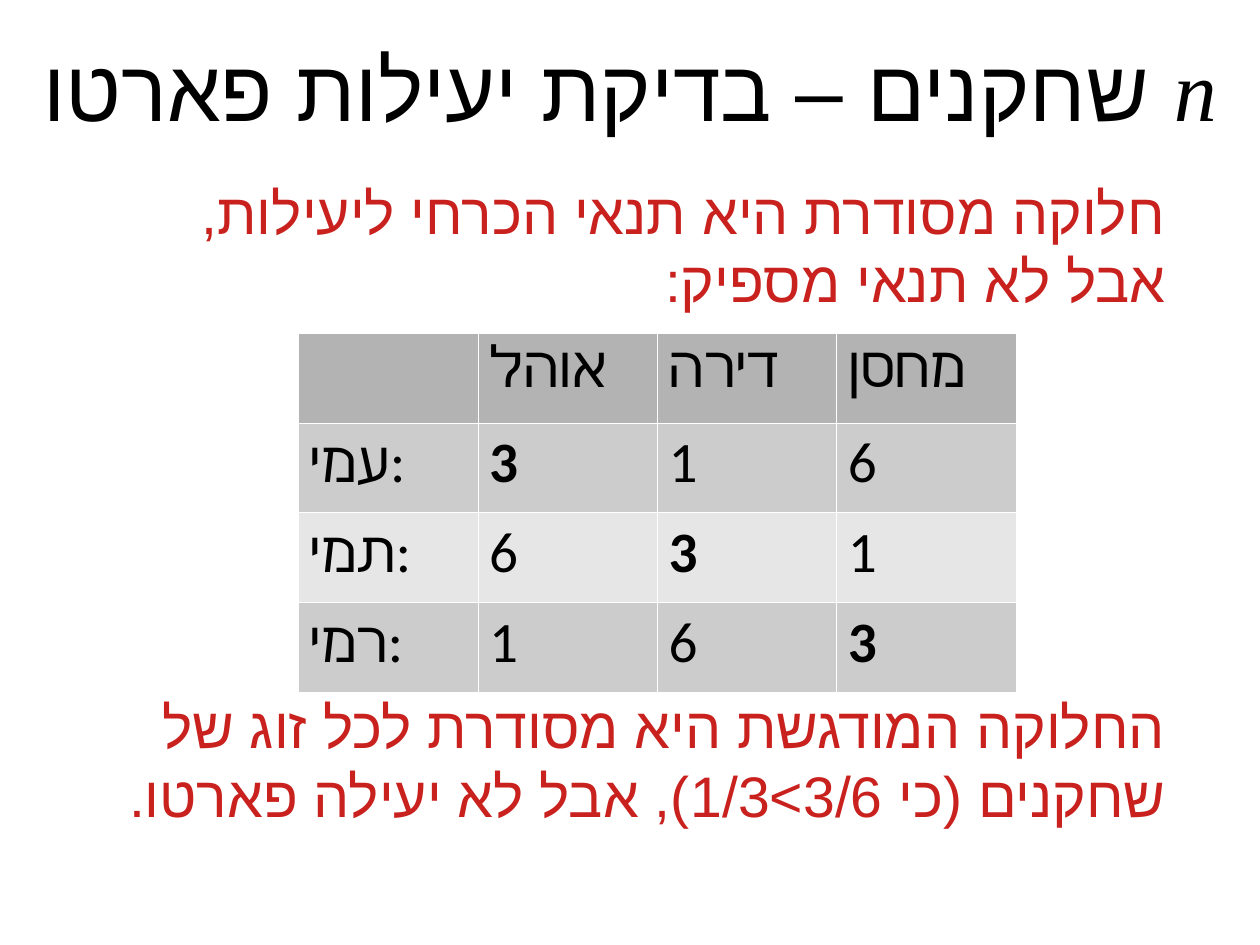
from dataclasses import dataclass

from lxml import etree
from pptx import Presentation
from pptx import util as u
from pptx.dml import color
from pptx.enum import text
from pptx.oxml import ns

COLORS = {
    "black": "000000", "red": "C9211E", "white": "FFFFFF",
    "header": "B3B3B3", "dark": "CCCCCC", "light": "E6E6E6",
}
SLIDE_WIDTH, SLIDE_HEIGHT = 793.7, 595.28
TABLE_LEFT, TABLE_TOP, COLUMN_WIDTH, ROW_HEIGHT = 188, 209.7, 113, 56.5
HEADER_SPACING = 0.88
ROWS = [
    ("", "אוהל", "דירה", "מחסן"),
    ("עמי:", "3", "1", "6"),
    ("תמי:", "6", "3", "1"),
    ("רמי:", "1", "6", "3"),
]
ROW_FILLS = ["header", "dark", "light", "dark"]


@dataclass
class Span:
    words: str
    font: str = "Arial"
    italic: bool = False


@dataclass
class TextBlock:
    left: float
    top: float
    width: float
    height: float
    spans: list[Span]
    size: float = 36
    color: str = "red"
    align: text.PP_ALIGN = text.PP_ALIGN.RIGHT
    anchor: text.MSO_ANCHOR = text.MSO_ANCHOR.TOP
    margins: tuple[float, float] = (7.2, 3.6)


BLOCKS = [
    TextBlock(0, 15.8, SLIDE_WIDTH, 77.8,
              [Span("n", "Times New Roman", True), Span(" שחקנים – בדיקת יעילות פארטו")],
              54, "black", text.PP_ALIGN.CENTER, text.MSO_ANCHOR.MIDDLE, (0, 0)),
    TextBlock(72, 108, 669.6, 90.7,
              [Span("חלוקה מסודרת היא תנאי הכרחי ליעילות, אבל לא תנאי מספיק:")]),
    TextBlock(72, 432, 669.6, 132.5,
              [Span("החלוקה המודגשת היא מסודרת לכל זוג של שחקנים "
                    "(כי 3/6>1/3), אבל לא יעילה פארטו.")]),
]


def style_run(run, font: str, size: float, tint: str, bold: bool = False, italic: bool = False) -> None:
    run.font.name = font
    run.font.size = u.Pt(size)
    run.font.bold = bold
    run.font.italic = italic
    run.font.color.rgb = color.RGBColor.from_string(COLORS[tint])
    etree.SubElement(run.font._element, ns.qn("a:cs"), typeface=font)


def draw_text(page, block: TextBlock) -> None:
    box = page.shapes.add_textbox(*map(u.Pt, (block.left, block.top, block.width, block.height)))
    frame = box.text_frame
    frame.word_wrap = True
    frame.vertical_anchor = block.anchor
    frame.margin_left = frame.margin_right = u.Pt(block.margins[0])
    frame.margin_top = frame.margin_bottom = u.Pt(block.margins[1])
    para = frame.paragraphs[0]
    para.alignment = block.align
    para._p.get_or_add_pPr().set("rtl", "1")
    for span in block.spans:
        run = para.add_run()
        run.text = span.words
        style_run(run, span.font, block.size, block.color, italic=span.italic)


def draw_borders(cell) -> None:
    properties = cell._tc.get_or_add_tcPr()
    for index, side in enumerate(("lnL", "lnR", "lnT", "lnB")):
        line = etree.Element(ns.qn(f"a:{side}"), w=str(u.Pt(0.06)))
        fill = etree.SubElement(line, ns.qn("a:solidFill"))
        etree.SubElement(fill, ns.qn("a:srgbClr"), val=COLORS["white"])
        properties.insert(index, line)


def draw_table(page) -> None:
    count = len(ROWS[0])
    table = page.shapes.add_table(
        len(ROWS), count, u.Pt(TABLE_LEFT), u.Pt(TABLE_TOP),
        u.Pt(COLUMN_WIDTH * count), u.Pt(ROW_HEIGHT * len(ROWS))).table
    table.first_row = table.horz_banding = False
    for row, (words, fill) in enumerate(zip(ROWS, ROW_FILLS)):
        for column, word in enumerate(words):
            cell = table.cell(row, column)
            cell.fill.solid()
            cell.fill.fore_color.rgb = color.RGBColor.from_string(COLORS[fill])
            draw_borders(cell)
            cell.text_frame.text = word
            para = cell.text_frame.paragraphs[0]
            if fill == "header":
                para.line_spacing = HEADER_SPACING
            for run in para.runs:
                style_run(run, "Calibri", 36, "black", bold=word == "3")


def main() -> None:
    """Build the slide on checking Pareto efficiency for n players."""
    deck = Presentation()
    deck.slide_width, deck.slide_height = u.Pt(SLIDE_WIDTH), u.Pt(SLIDE_HEIGHT)
    page = deck.slides.add_slide(deck.slide_layouts[6])
    title, *notes = BLOCKS
    draw_text(page, title)
    draw_table(page)
    for note in notes:
        draw_text(page, note)
    deck.save("out.pptx")


if __name__ == "__main__":
    main()
